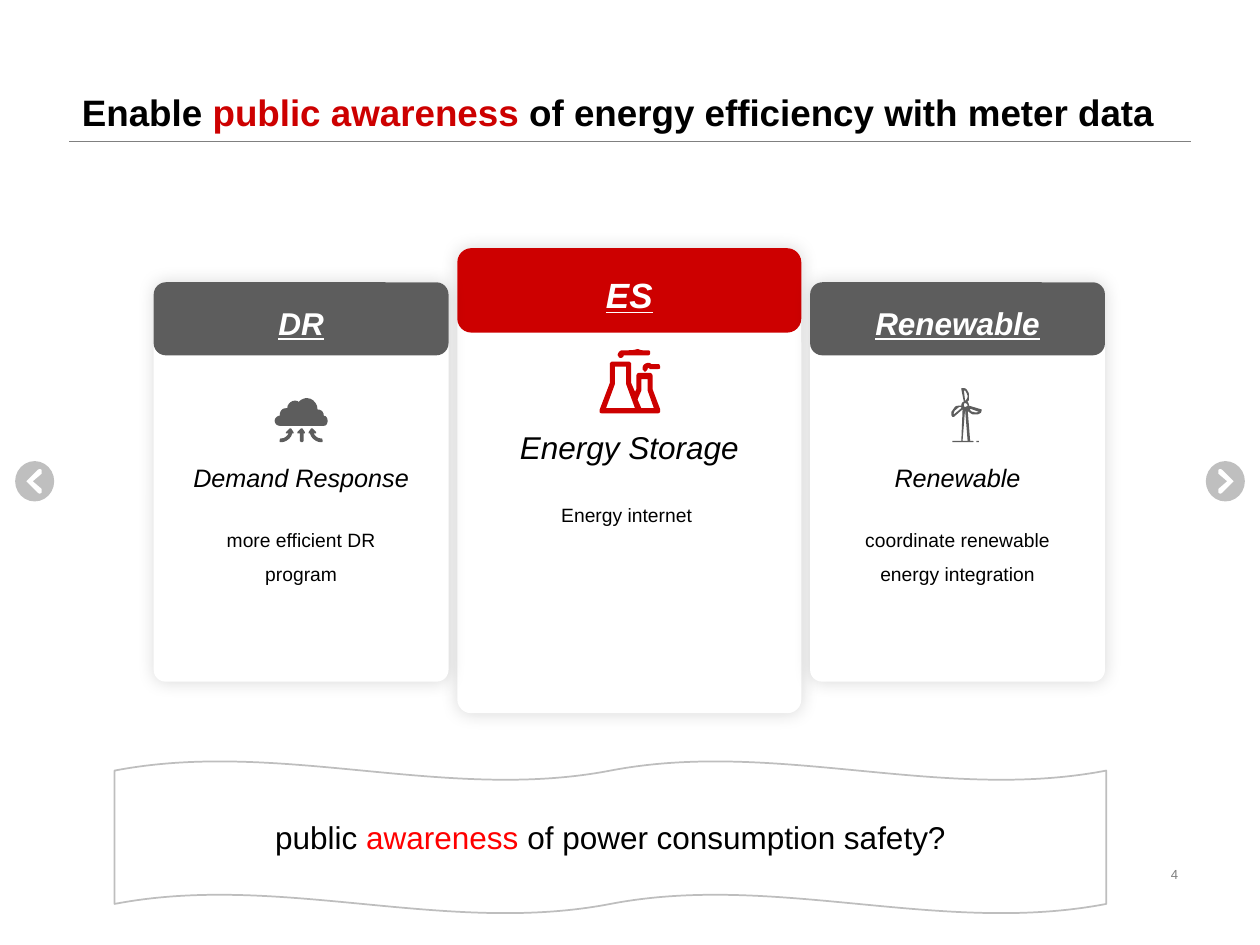
from dataclasses import dataclass

from lxml import etree
from pptx import Presentation
from pptx.dml.color import RGBColor
from pptx.enum.shapes import MSO_CONNECTOR, MSO_SHAPE as SHAPE
from pptx.enum.text import MSO_ANCHOR as ANCHOR, MSO_AUTO_SIZE, PP_ALIGN as ALIGN
from pptx.oxml.ns import qn
from pptx.util import Inches, Pt

BLACK = RGBColor(0, 0, 0)
WHITE = RGBColor(0xFF, 0xFF, 0xFF)
RED = RGBColor(0xCD, 0, 0)
BRIGHT_RED = RGBColor(0xFF, 0, 0)
DARK = RGBColor(0x5D, 0x5D, 0x5D)
GRAY = RGBColor(0x80, 0x80, 0x80)
SILVER = RGBColor(0xBF, 0xBF, 0xBF)
BORDER = RGBColor(0xBE, 0xBE, 0xBE)

# Outlines in hundredths of an inch: a pair is a line end, six numbers a cubic curve.
CHEVRON = [[(12, 4), (5, 10), (12, 16), (12, 17, 12, 18, 12, 19), (11, 20, 10, 20, 9, 19),
            (0, 10), (9, 1), (10, 0, 11, 0, 12, 1), (12, 2, 12, 3, 12, 4)]]
PLANT = [
    [(33, 24), (33, 33), (30, 40), (33, 47), (43, 47), (38, 33), (38, 24)],
    [(12, 14), (12, 28), (5, 47), (28, 47), (21, 28), (21, 14)],
    [(39, 11), (40, 11, 41, 12, 41, 12), (43, 12, 46, 12, 47, 12), (48, 13, 48, 14, 48, 15),
     (48, 16, 46, 16, 45, 16), (43, 16, 41, 16, 40, 16), (40, 16, 39, 15, 39, 15),
     (39, 15, 38, 15, 38, 16), (37, 17, 37, 18, 36, 18), (36, 18, 35, 18, 35, 17),
     (34, 17, 34, 16, 34, 15), (34, 12, 37, 11, 39, 11)],
    [(10, 10), (23, 10), (24, 10, 25, 11, 25, 12), (25, 27), (28, 34), (29, 32), (29, 22),
     (29, 20, 30, 19, 31, 19), (40, 19), (41, 19, 42, 20, 42, 22), (42, 32), (48, 48),
     (48, 49, 48, 49, 48, 50), (47, 51, 47, 51, 46, 51), (2, 51), (1, 51, 0, 51, 0, 50),
     (0, 49, 0, 49, 0, 48), (8, 27), (8, 12), (8, 11, 9, 10, 10, 10)],
    [(30, 0), (31, 0, 32, 1, 34, 1), (38, 1), (40, 1, 40, 2, 40, 3), (40, 5, 39, 5, 38, 5),
     (33, 5), (30, 5, 29, 5, 28, 5), (19, 5), (19, 6, 18, 7, 17, 7), (16, 7, 15, 7, 15, 6),
     (14, 5, 14, 4, 15, 3), (15, 2, 16, 2, 17, 1), (19, 1, 20, 1, 21, 1), (24, 1, 27, 1, 30, 0)],
]
TURBINE = [
    [(20, 42), (22, 42), (22, 43), (20, 43)],
    [(11, 17), (9, 42), (13, 42)],
    [(14, 16), (14, 16, 15, 16, 15, 17), (15, 18, 16, 19, 18, 19), (19, 20, 21, 19, 22, 19)],
    [(7, 15), (6, 15, 5, 16, 4, 17), (2, 18, 2, 20, 2, 21), (8, 16), (8, 15, 8, 15, 7, 15)],
    [(11, 12), (10, 12, 10, 13, 10, 14), (10, 15, 11, 15, 11, 15), (12, 15, 13, 14, 13, 14),
     (13, 13, 12, 12, 11, 12)],
    [(10, 2), (11, 10), (12, 10, 12, 9, 12, 9), (13, 8, 13, 7, 13, 6), (12, 4, 12, 3, 11, 2)],
    [(9, 0), (10, 0, 11, 0, 12, 1), (13, 2, 14, 4, 14, 5), (14, 7, 14, 8, 14, 10),
     (13, 10, 13, 11, 13, 11), (14, 12, 14, 13, 14, 14), (24, 17), (24, 17, 24, 18, 24, 18),
     (24, 20, 23, 20, 21, 21), (20, 21, 18, 21, 17, 21), (15, 20, 14, 19, 13, 18), (13, 17),
     (15, 42), (17, 42), (18, 42, 18, 43, 17, 43), (1, 43), (1, 42), (8, 42), (9, 17), (2, 23),
     (1, 23), (0, 22, 0, 21, 0, 19), (1, 18, 2, 16, 3, 15), (4, 14, 5, 14, 7, 14), (8, 14),
     (8, 12, 9, 11, 10, 11), (8, 1), (8, 0, 8, 0, 9, 0)],
]
CLOUD = [(26, 0), (30, 0, 34, 4, 34, 9), (37, 9, 39, 11, 39, 14), (41, 14, 42, 16, 42, 18),
         (42, 20, 41, 22, 39, 22), (4, 22), (2, 22, 0, 20, 0, 18), (0, 16, 2, 14, 4, 14),
         (4, 10, 6, 8, 9, 8), (10, 8), (10, 5, 13, 2, 16, 2), (17, 2, 18, 2, 19, 3),
         (21, 1, 23, 0, 26, 0)]
CENTER_ARROW = [(21, 24), (22, 24), (24, 27), (24, 28), (23, 28), (23, 34), (22, 35),
                (21, 35), (20, 34), (20, 28), (18, 28), (18, 27)]
SIDE_ARROW = [(29, 24), (30, 24), (33, 27), (33, 28), (31, 28), (32, 30, 34, 32, 37, 32),
              (38, 32, 38, 33, 38, 34), (38, 35, 38, 35, 37, 35), (33, 35, 29, 32, 28, 28),
              (27, 28), (27, 27)]


def mirrored(contours, width):
    return [[tuple(width - v if i % 2 == 0 else v for i, v in enumerate(step)) for step in contour]
            for contour in contours]


def flattened(contour, pieces=5):
    """Turn a contour into points in thousandths of an inch."""
    points = []
    for step in contour:
        if len(step) == 2:
            points.append((step[0] * 10, step[1] * 10))
            continue
        x0, y0 = points[-1]
        x1, y1, x2, y2, x3, y3 = (v * 10 for v in step)
        for i in range(1, pieces + 1):
            t = i / pieces
            a, b, c, d = (1 - t) ** 3, 3 * t * (1 - t) ** 2, 3 * t * t * (1 - t), t ** 3
            points.append((a * x0 + b * x1 + c * x2 + d * x3, a * y0 + b * y1 + c * y2 + d * y3))
    return points


CLOUD_ARROWS = [CLOUD, CENTER_ARROW, SIDE_ARROW] + mirrored([SIDE_ARROW], 42)


@dataclass
class CardSize:
    top: float
    width: float
    height: float
    header: float
    header_size: float
    inset: float
    name_box: tuple
    name_size: float
    name_spacing: float
    body_box: tuple
    body_spacing: float


MAIN_CARD = CardSize(1.97, 2.73, 3.69, 0.67, 20, 0.21, (3.37, 0.39), 18, 0.9, (3.87, 0.9), 1.4)
SIDE_CARD = CardSize(2.24, 2.34, 3.17, 0.58, 18, 0.18, (3.62, 0.34), 14.4, 1, (4.05, 0.83), 1.5)


class SlidePainter:
    font = "Arial"

    def __init__(self, page):
        self.page = page

    def put_text(self, shape, spans, size, align=ALIGN.CENTER, anchor=ANCHOR.MIDDLE, spacing=1.0,
                 bold=False, italic=False, underline=False):
        """Fill a shape with one paragraph of (text, colour) spans."""
        frame = shape.text_frame
        frame.word_wrap = True
        frame.auto_size = MSO_AUTO_SIZE.NONE
        frame.vertical_anchor = anchor
        para = frame.paragraphs[0]
        para.alignment, para.line_spacing = align, float(spacing)
        for text, color in spans:
            span = para.add_run()
            span.text = text
            font = span.font
            font.name, font.size, font.color.rgb = self.font, Pt(size), color
            font.bold, font.italic, font.underline = bold, italic, underline

    def title(self, spans, *bounds):
        box = self.page.shapes.title
        box.left, box.top, box.width, box.height = map(Inches, bounds)
        self.put_text(box, spans, 21, ALIGN.LEFT, ANCHOR.BOTTOM, 0.9, bold=True)

    def text(self, bounds, spans, size, **style):
        box = self.page.shapes.add_textbox(*map(Inches, bounds))
        self.put_text(box, spans, size, **style)
        return box

    def rule(self, x1, y1, x2, y2):
        line = self.page.shapes.add_connector(MSO_CONNECTOR.STRAIGHT, *map(Inches, (x1, y1, x2, y2)))
        line.line.color.rgb, line.line.width = GRAY, Pt(0.25)
        etree.SubElement(line._element.spPr, qn("a:effectLst"))

    def paint(self, shape, fill):
        shape.shadow.inherit = False
        shape.fill.solid()
        shape.fill.fore_color.rgb = fill
        shape.line.fill.background()
        return shape

    def shape(self, kind, bounds, fill):
        return self.paint(self.page.shapes.add_shape(kind, *map(Inches, bounds)), fill)

    def icon(self, contours, left, top, fill):
        outlines = [flattened(contour) for contour in contours]
        builder = self.page.shapes.build_freeform(*outlines[0][0], scale=Inches(1) / 1000)
        for i, points in enumerate(outlines):
            if i:
                builder.move_to(*points[0])
            builder.add_line_segments(points[1:], close=True)
        self.paint(builder.convert_to_shape(Inches(left), Inches(top)), fill)

    def glow(self, shape):
        effects = shape._element.spPr.find(qn("a:effectLst"))
        shadow = etree.SubElement(effects, qn("a:outerShdw"), blurRad=str(Pt(10)), dist="0", dir="0",
                                  algn="ctr", rotWithShape="0")
        color = etree.SubElement(shadow, qn("a:srgbClr"), val="000000")
        etree.SubElement(color, qn("a:alpha"), val="15000")

    def card(self, left, size, color, header, name, body, icon, icon_at):
        panel = self.shape(SHAPE.ROUNDED_RECTANGLE, (left, size.top, size.width, size.height), WHITE)
        panel.adjustments[0] = 0.04
        self.glow(panel)
        band = self.shape(SHAPE.ROUNDED_RECTANGLE, (left, size.top, size.width, size.header), color)
        self.put_text(band, [(header, WHITE)], size.header_size, spacing=1.2,
                      bold=True, italic=True, underline=True)
        self.icon(icon, *icon_at, color)
        x, width = left + size.inset, size.width - 2 * size.inset
        self.text((x, size.name_box[0], width, size.name_box[1]), [(name, BLACK)], size.name_size,
                  spacing=size.name_spacing, italic=True)
        note = self.text((x, size.body_box[0], width, size.body_box[1]), [(body, BLACK)], 11,
                         anchor=ANCHOR.TOP, spacing=size.body_spacing)
        note.text_frame.margin_left = note.text_frame.margin_right = Inches(0.15)

    def arrow_button(self, left, chevron, chevron_left):
        self.shape(SHAPE.FLOWCHART_CONNECTOR, (left, 3.66, 0.31, 0.32), SILVER)
        self.icon(chevron, chevron_left, 3.72, WHITE)


def main():
    deck = Presentation()
    deck.slide_width, deck.slide_height = Inches(10), Inches(7.5)
    painter = SlidePainter(deck.slides.add_slide(deck.slide_layouts[5]))
    painter.rule(0.55, 1.12, 9.45, 1.12)
    painter.title([("Enable ", BLACK), ("public awareness", RED),
                   (" of energy efficiency with meter data", BLACK)], 0.55, 0, 8.9, 1.12)
    painter.text((7.06, 6.82, 2.39, 0.23), [("4", GRAY)], 7.5, align=ALIGN.RIGHT)
    painter.arrow_button(0.12, CHEVRON, 0.21)
    painter.arrow_button(9.57, mirrored(CHEVRON, 12), 9.67)
    painter.card(3.63, MAIN_CARD, RED, "ES", "Energy Storage", "Energy internet ", PLANT, (4.76, 2.77))
    painter.card(1.22, SIDE_CARD, DARK, "DR", "Demand Response", "more efficient DR program",
                 CLOUD_ARROWS, (2.18, 3.16))
    painter.card(6.43, SIDE_CARD, DARK, "Renewable", "Renewable",
                 "coordinate renewable energy integration", TURBINE, (7.55, 3.08))
    banner = painter.shape(SHAPE.DOUBLE_WAVE, (0.91, 6.04, 7.87, 1.21), WHITE)
    banner.line.color.rgb, banner.line.width = BORDER, Pt(1)
    painter.put_text(banner, [("public ", BLACK), ("awareness ", BRIGHT_RED),
                              ("of power consumption safety?", BLACK)], 18)
    deck.save("out.pptx")


if __name__ == "__main__":
    main()
